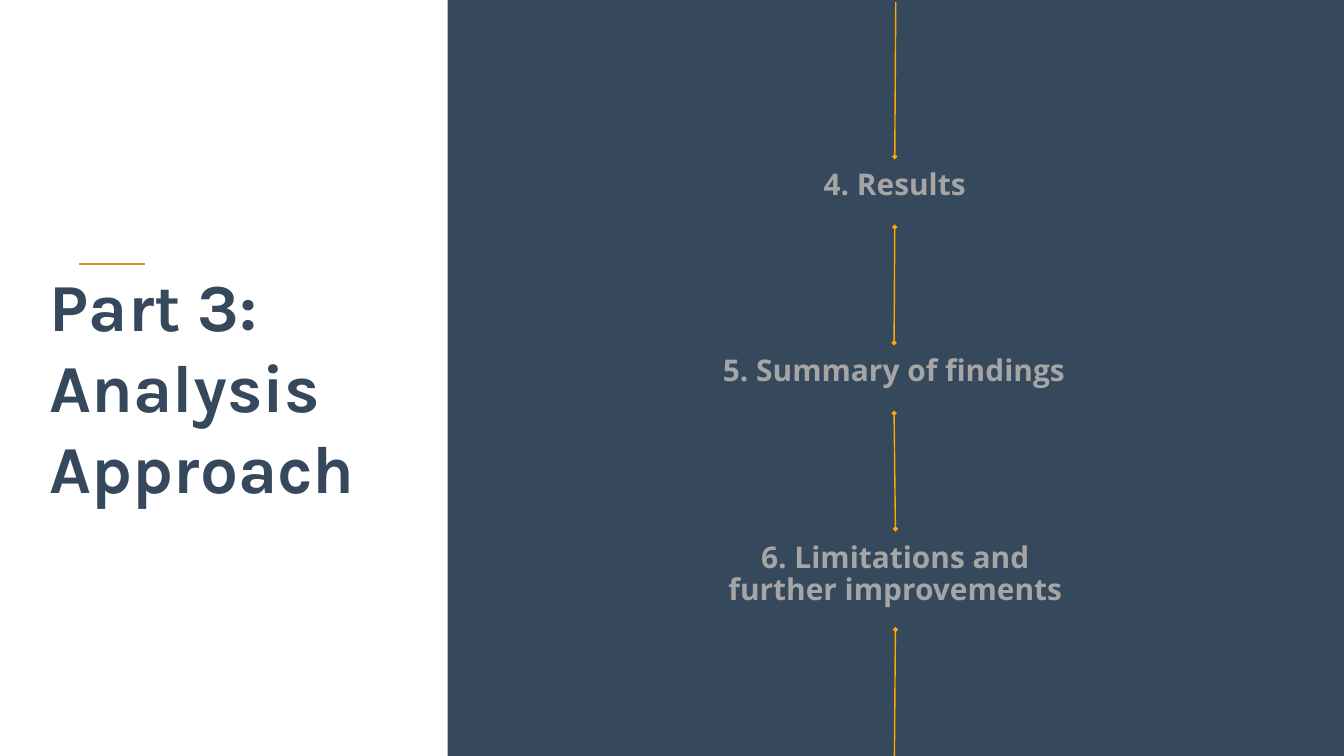
from pptx import Presentation
from pptx.dml.color import RGBColor
from pptx.enum.shapes import MSO_CONNECTOR, MSO_SHAPE
from pptx.enum.text import MSO_ANCHOR, MSO_AUTO_SIZE, PP_ALIGN
from pptx.oxml.ns import qn
from pptx.util import Inches, Pt
from lxml.etree import SubElement

TITLE = ["Part 3:", "Analysis Approach"]
STEPS = [
    ("4. Results", 10.83, 2.33, 4.97, 1.05),
    ("5. Summary of findings", 10.46, 5.1, 5.69, 1.05),
    ("6. Limitations and further improvements", 10.6, 7.87, 5.45, 1.5),
]
NAVY, GOLD, AMBER, GRAY = "36495C", "D49523", "FFA800", "A5A5A5"
TOP, BOTTOM = 0, 2


def color(value):
    return RGBColor.from_string(value)


def fill_text(shape, lines, font, size, hex_color, align, anchor, spacing):
    tf = shape.text_frame
    tf.word_wrap = True
    tf.auto_size = MSO_AUTO_SIZE.NONE
    tf.vertical_anchor = anchor
    tf.margin_left = tf.margin_right = tf.margin_top = tf.margin_bottom = Inches(0.2)
    for i, line in enumerate(lines):
        p = tf.add_paragraph() if i else tf.paragraphs[0]
        p.alignment = align
        p.line_spacing = spacing
        p.space_before = Pt(0)
        r = p.add_run()
        r.text = line
        r.font.name = font
        r.font.size = Pt(size)
        r.font.bold = True
        r.font.color.rgb = color(hex_color)


def add_line(s, start, end, hex_color, width, ends=()):
    points = [Inches(v) for v in (*start, *end)]
    line = s.shapes.add_connector(MSO_CONNECTOR.STRAIGHT, *points)
    line.line.color.rgb = color(hex_color)
    line.line.width = Pt(width)
    ln = line.line._get_or_add_ln()
    for end_name in ends:
        SubElement(ln, qn(f"a:{end_name}"), type="diamond")
    SubElement(line._element.spPr, qn("a:effectLst"))
    return line


def main():
    prs = Presentation()
    prs.slide_width, prs.slide_height = Inches(20), Inches(11.25)
    s = prs.slides.add_slide(prs.slide_layouts[5])

    panel = s.shapes.add_shape(MSO_SHAPE.RECTANGLE, Inches(6.66), 0, Inches(13.34), Inches(11.25))
    panel.shadow.inherit = False
    panel.fill.solid()
    panel.fill.fore_color.rgb = color(NAVY)
    panel.line.fill.background()
    add_line(s, (1.17, 3.93), (2.16, 3.93), GOLD, 2.25)

    title = s.shapes.title
    title.left, title.top, title.width, title.height = map(Inches, (0.54, 4.12, 6.02, 3.62))
    fill_text(title, TITLE, "Karla", 72, NAVY, PP_ALIGN.LEFT, MSO_ANCHOR.BOTTOM, 1.0)

    boxes = []
    for text, *place in STEPS:
        box = s.shapes.add_textbox(*map(Inches, place))
        fill_text(box, [text], "Open Sans", 32, GRAY, PP_ALIGN.CENTER, MSO_ANCHOR.TOP, 0.9)
        boxes.append(box)

    for above, below in zip([None, *boxes], [*boxes, None]):
        ends = [name for name, box in (("headEnd", above), ("tailEnd", below)) if box]
        line = add_line(s, (13.33, 0.03), (13.31, 11.25), AMBER, 1.5, ends)
        if above:
            line.begin_connect(above, BOTTOM)
        if below:
            line.end_connect(below, TOP)

    prs.save("out.pptx")


if __name__ == "__main__":
    main()
